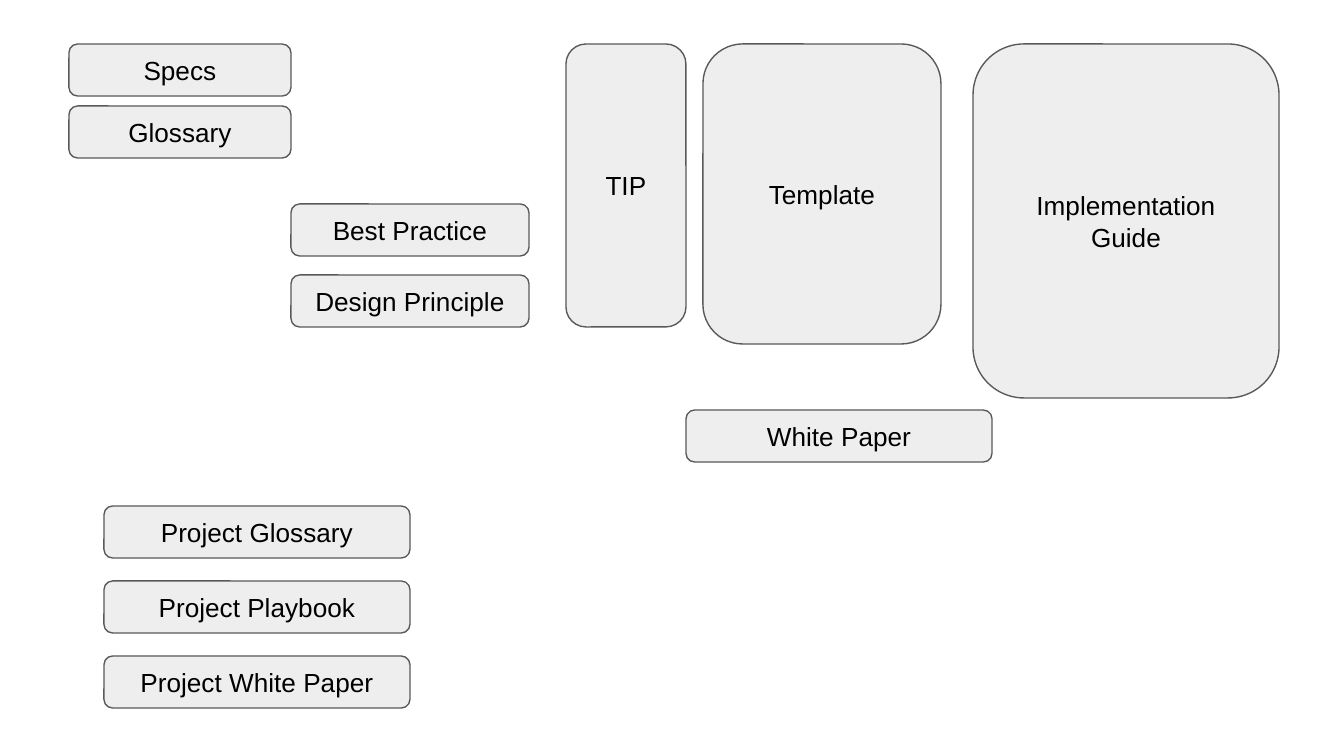
from pptx import Presentation
from pptx.dml.color import RGBColor
from pptx.enum.shapes import MSO_SHAPE as Shape
from pptx.enum.text import MSO_ANCHOR as Anchor, PP_ALIGN as Align
from pptx.util import Pt

PX = 9144000 / 1344
BAR = 52
PAD = 13
FRAME = {
    "word_wrap": True,
    "vertical_anchor": Anchor.MIDDLE,
    "margin_left": round(PAD * PX),
    "margin_top": round(PAD * PX),
    "margin_right": round(PAD * PX),
    "margin_bottom": round(PAD * PX),
}
FONT = {"name": "Arial", "size": Pt(14)}


def emu(px):
    return round(px * PX)


def paint(color, tone):
    color.rgb = RGBColor.from_string(tone)


def style(item, values):
    for name, value in values.items():
        setattr(item, name, value)


def card(slide, text, left, top, width, height=BAR):
    box = slide.shapes.add_shape(Shape.ROUNDED_RECTANGLE, *map(emu, (left, top, width, height)))
    box.shadow.inherit = False
    box.fill.solid()
    paint(box.fill.fore_color, "EEEEEE")
    paint(box.line.color, "595959")
    box.line.width = Pt(0.75)
    frame = box.text_frame
    style(frame, FRAME)
    para = frame.paragraphs[0]
    para.alignment = Align.CENTER
    run = para.add_run()
    run.text = text
    style(run.font, FONT)
    paint(run.font.color, "000000")


def stack(slide, names, left, top, width, step):
    for row, name in enumerate(names):
        card(slide, name, left, top + row * step, width)


def guides(slide, left, top):
    card(slide, "TIP", left, top, 120, 283)
    card(slide, "Template", left + 137, top, 238, 300)
    card(slide, "Implementation Guide", left + 407, top, 306, 354)
    card(slide, "White Paper", left + 120, top + 366, 306)


def main():
    deck = Presentation()
    deck.slide_width, deck.slide_height = emu(1344), emu(756)
    slide = deck.slides.add_slide(deck.slide_layouts[6])
    stack(slide, ["Specs", "Glossary"], 69, 44, 222, 62)
    stack(slide, ["Best Practice", "Design Principle"], 291, 204, 238, 71)
    guides(slide, 566, 44)
    projects = ["Project Glossary", "Project Playbook", "Project White Paper"]
    stack(slide, projects, 104, 506, 306, 75)
    deck.save("out.pptx")


if __name__ == "__main__":
    main()
